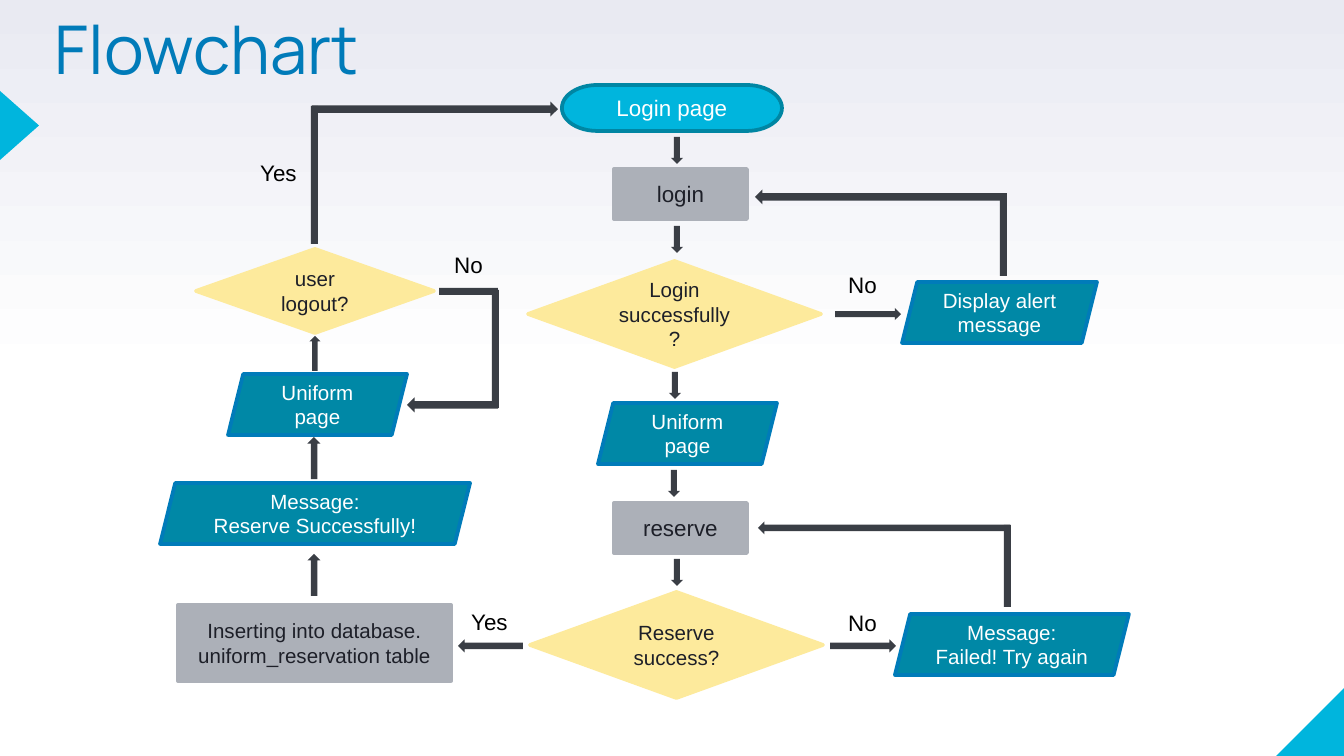
from dataclasses import dataclass
from math import atan2, degrees, hypot

from pptx import Presentation
from pptx.dml.color import RGBColor
from pptx.enum.shapes import MSO_SHAPE
from pptx.enum.text import MSO_ANCHOR, MSO_AUTO_SIZE, PP_ALIGN
from pptx.util import Emu, Pt

EMU_PER_PX = 9144000 / 1344
SLIDE_SIZE = (1344, 756)


@dataclass(frozen=True)
class Theme:
    """Colours, fonts and type sizes of the slide."""

    title_font: str = "Manrope"
    body_font: str = "Arial"
    title_size: int = 36
    large_size: int = 12
    small_size: int = 11
    outline_width: int = 2
    white: str = "FFFFFF"
    haze: str = "E9EAF2"
    black: str = "000000"
    ink: str = "1D1F28"
    arrow: str = "3A3E45"
    cyan: str = "00B5DD"
    blue: str = "007BB9"
    teal: str = "0088A6"
    teal_edge: str = "0086A3"
    grey: str = "ACB0B8"
    yellow: str = "FDEA9C"


THEME = Theme()

NODE_STYLES = {
    "start": (MSO_SHAPE.FLOWCHART_TERMINATOR, THEME.cyan, THEME.teal_edge, THEME.white, THEME.large_size),
    "process": (MSO_SHAPE.RECTANGLE, THEME.grey, THEME.grey, THEME.ink, THEME.large_size),
    "storage": (MSO_SHAPE.RECTANGLE, THEME.grey, THEME.grey, THEME.ink, THEME.small_size),
    "decision": (MSO_SHAPE.FLOWCHART_DECISION, THEME.yellow, THEME.yellow, THEME.ink, THEME.small_size),
    "data": (MSO_SHAPE.PARALLELOGRAM, THEME.teal, THEME.blue, THEME.white, THEME.small_size),
}

NODES = [
    ("start", (562, 85, 220, 46), "Login page"),
    ("process", (614, 169, 133, 50), "login"),
    ("decision", (528, 261, 293, 106), "Login successfully ?"),
    ("data", (598, 403, 179, 61), "Uniform page"),
    ("process", (614, 503, 133, 50), "reserve"),
    ("decision", (530, 592, 293, 106), "Reserve success?"),
    ("data", (902, 282, 195, 61), "Display alert message"),
    ("data", (895, 614, 234, 61), "Message:\nFailed! Try again"),
    ("storage", (178, 605, 273, 76), "Inserting into database.\nuniform_reservation table"),
    ("data", (160, 483, 310, 61), "Message:\nReserve Successfully!"),
    ("data", (228, 374, 179, 61), "Uniform page"),
    ("decision", (196, 249, 238, 84), "user logout?"),
]

ARROWS = [
    ((677, 137), (677, 164), 12),
    ((677, 226), (677, 253), 12),
    ((675, 372), (675, 399), 12),
    ((674, 470), (674, 497), 12),
    ((677, 559), (677, 586), 12),
    ((835, 314), (901, 314), 12),
    ((830, 646), (896, 646), 13),
    ((523, 646), (458, 646), 13),
    ((314, 596), (314, 554), 13),
    ((314, 479), (314, 437), 13),
    ((315, 371), (315, 336), 11),
    ((1007, 197), (755, 197), 15),
    ((1010, 528), (758, 528), 13),
    ((498, 405), (407, 405), 15),
    ((312, 109), (558, 109), 15),
]

BARS = [
    (1000, 194, 7, 82),
    (1004, 525, 7, 82),
    (492, 290, 7, 118),
    (439, 288, 59, 7),
    (311, 106, 7, 138),
]

LABELS = [
    ("Yes", (247, 153, 71, 40)),
    ("No", (441, 245, 58, 40)),
    ("No", (835, 265, 58, 40)),
    ("Yes", (458, 602, 71, 40)),
    ("No", (835, 603, 58, 40)),
]


def px(value):
    """Turn pixels into EMU."""
    return Emu(round(value * EMU_PER_PX))


def apply(target, values):
    """Set each named attribute on the target."""
    for name, value in values.items():
        setattr(target, name, value)


def write_text(shape, text, font_name, size, color, frame_format, paragraph_format):
    """Fill a shape with formatted text, one paragraph a line."""
    text_frame = shape.text_frame
    text_frame.text = text
    apply(text_frame, {"word_wrap": True, **frame_format})
    for paragraph in text_frame.paragraphs:
        apply(paragraph, paragraph_format)
        for run in paragraph.runs:
            apply(run.font, {"name": font_name, "size": Pt(size)})
            run.font.color.rgb = RGBColor.from_string(color)


def add_block(slide, kind, box, fill, outline=None, rotation=0):
    """Add a flat preset shape, outlined only when a colour is given."""
    shape = slide.shapes.add_shape(kind, *map(px, box))
    shape.shadow.inherit = False
    shape.rotation = rotation
    shape.fill.solid()
    shape.fill.fore_color.rgb = RGBColor.from_string(fill)
    if outline:
        shape.line.color.rgb = RGBColor.from_string(outline)
        shape.line.width = Pt(THEME.outline_width)
    else:
        shape.line.fill.background()
    return shape


def add_node(slide, style, box, text):
    """Add one flowchart step with centred text."""
    kind, fill, outline, color, size = NODE_STYLES[style]
    shape = add_block(slide, kind, box, fill, outline)
    write_text(shape, text, THEME.body_font, size, color,
               {"vertical_anchor": MSO_ANCHOR.MIDDLE}, {"alignment": PP_ALIGN.CENTER})


def add_arrow(slide, start, end, width):
    """Add a block arrow that runs from start to end."""
    dx, dy = end[0] - start[0], end[1] - start[1]
    length = hypot(dx, dy)
    center_x, center_y = (start[0] + end[0]) / 2, (start[1] + end[1]) / 2
    box = (center_x - width / 2, center_y - length / 2, width, length)
    add_block(slide, MSO_SHAPE.DOWN_ARROW, box, THEME.arrow, rotation=degrees(atan2(-dx, dy)) % 360)


def add_label(slide, text, box):
    """Add the answer beside a branch."""
    label = slide.shapes.add_textbox(*map(px, box))
    write_text(label, text, THEME.body_font, THEME.large_size, THEME.black,
               {"auto_size": MSO_AUTO_SIZE.SHAPE_TO_FIT_TEXT}, {"alignment": PP_ALIGN.LEFT})


def set_title(slide, text):
    """Place and format the title placeholder."""
    title = slide.shapes.title
    apply(title, {"left": px(55), "top": px(23), "width": px(829), "height": px(83)})
    margins = dict.fromkeys(("margin_left", "margin_top", "margin_right", "margin_bottom"), 0)
    write_text(title, text, THEME.title_font, THEME.title_size, THEME.blue,
               {"vertical_anchor": MSO_ANCHOR.TOP, "auto_size": MSO_AUTO_SIZE.NONE, **margins},
               {"alignment": PP_ALIGN.LEFT, "line_spacing": 0.8})


def set_background(slide):
    """Fade the background from white up to a pale haze."""
    fill = slide.background.fill
    fill.gradient()
    fill.gradient_angle = 90
    for stop, position, color in zip(fill.gradient_stops, (0.5, 1), (THEME.white, THEME.haze)):
        stop.position = position
        stop.color.rgb = RGBColor.from_string(color)


def main():
    """Build the flowchart slide."""
    presentation = Presentation()
    presentation.slide_width, presentation.slide_height = map(px, SLIDE_SIZE)
    slide = presentation.slides.add_slide(presentation.slide_layouts[5])
    set_background(slide)
    add_block(slide, MSO_SHAPE.RIGHT_TRIANGLE, (1276, 688, 68, 68), THEME.cyan, rotation=270)
    add_block(slide, MSO_SHAPE.ISOSCELES_TRIANGLE, (-15, 106, 69, 39), THEME.cyan, rotation=90)
    set_title(slide, "Flowchart")
    for node in NODES:
        add_node(slide, *node)
    for bar in BARS:
        add_block(slide, MSO_SHAPE.RECTANGLE, bar, THEME.arrow)
    for arrow in ARROWS:
        add_arrow(slide, *arrow)
    for label in LABELS:
        add_label(slide, *label)
    presentation.save("out.pptx")


if __name__ == "__main__":
    main()
